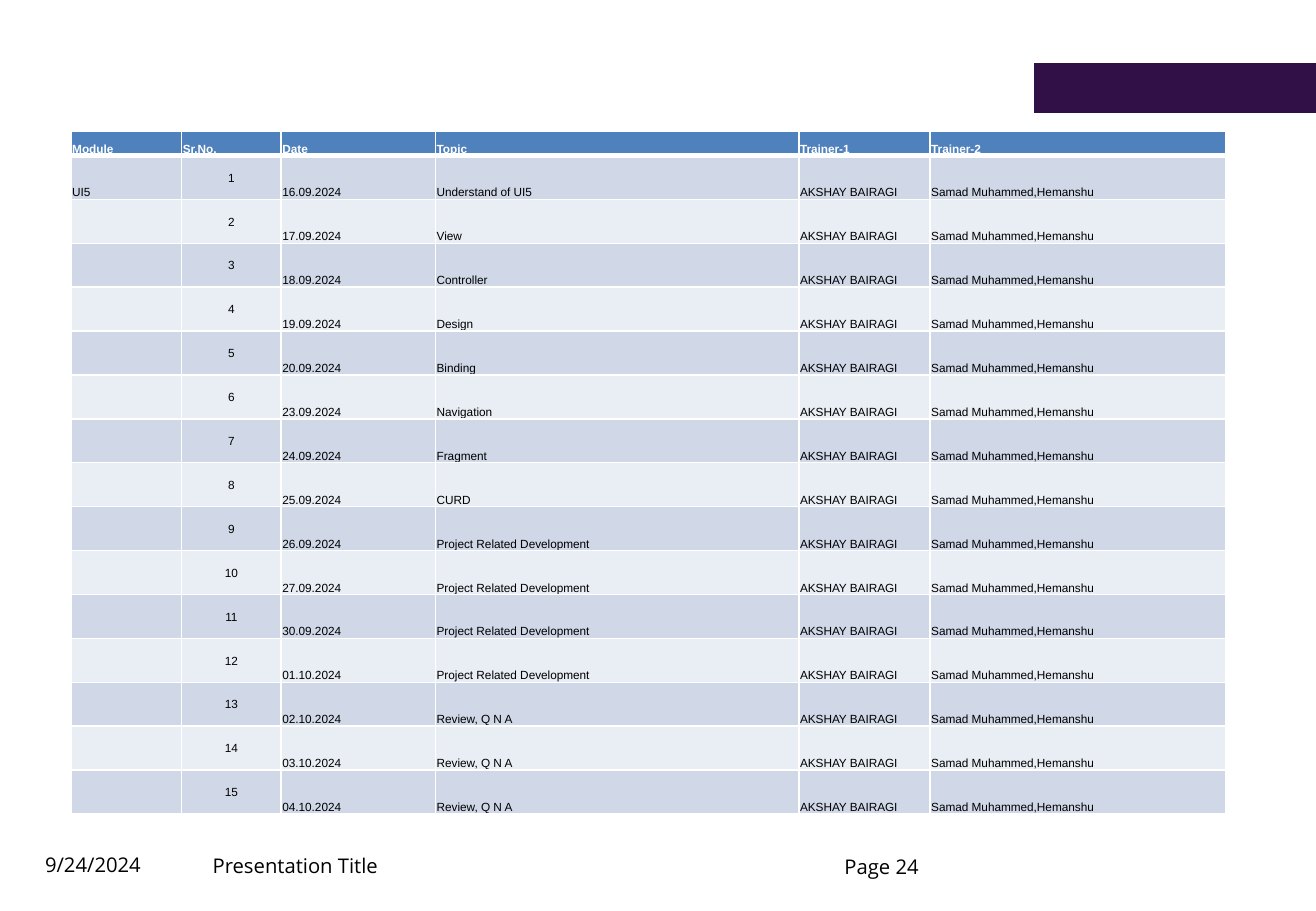
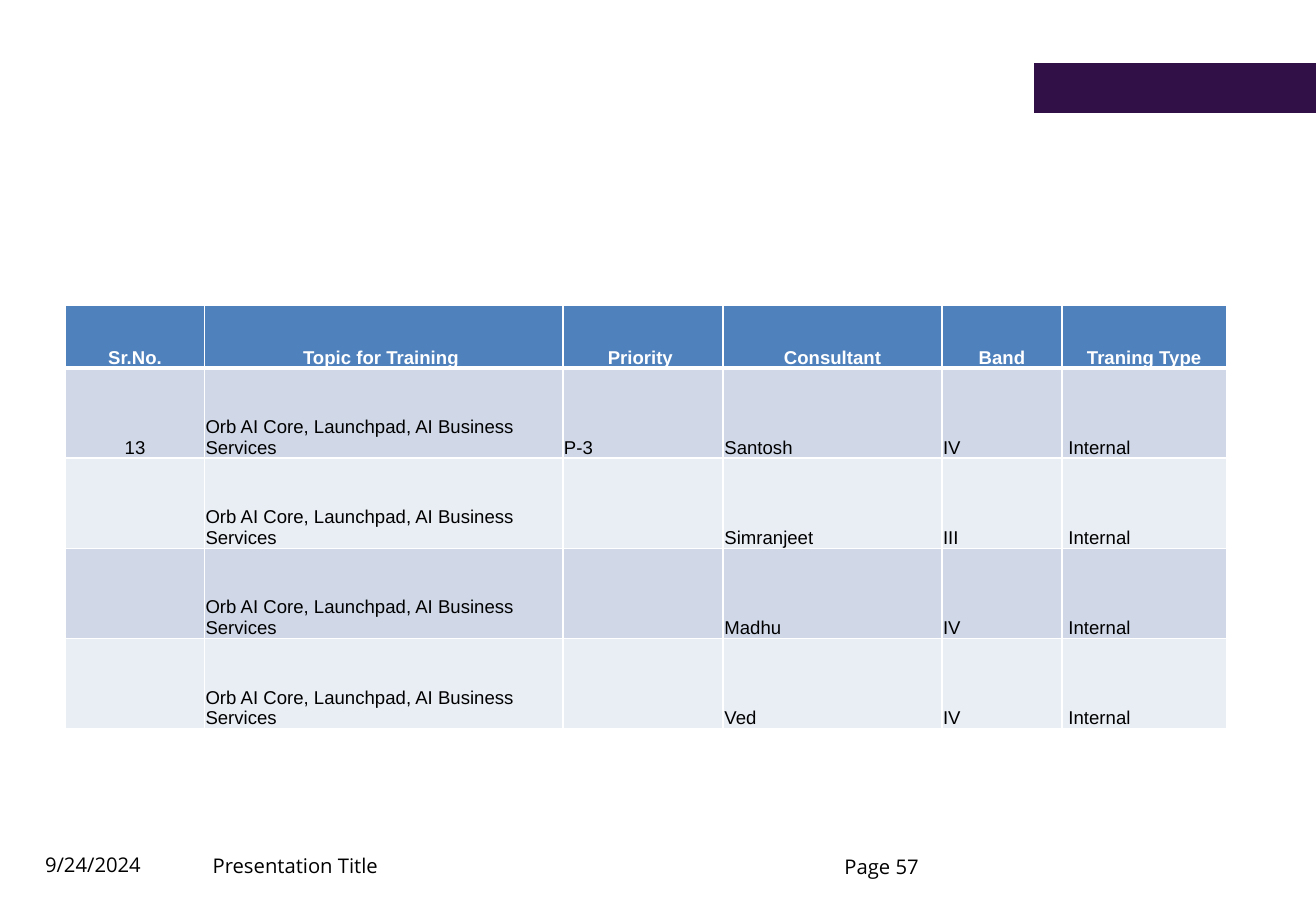
"""Build two training plan slides, each with a table, a corner band and a footer."""
from lxml.etree import SubElement
from pptx import Presentation
from pptx.dml.color import RGBColor
from pptx.enum.shapes import MSO_SHAPE
from pptx.enum.text import MSO_ANCHOR, PP_ALIGN
from pptx.oxml.ns import qn
from pptx.util import Inches, Pt

BLACK = RGBColor(0x00, 0x00, 0x00)
WHITE = RGBColor(0xFF, 0xFF, 0xFF)
PURPLE = RGBColor(0x30, 0x10, 0x47)
BLUE = RGBColor(0x4F, 0x81, 0xBD)
BANDS = [RGBColor(0xE9, 0xED, 0xF4), RGBColor(0xD0, 0xD8, 0xE8)]

prs = Presentation()
prs.slide_width, prs.slide_height = Inches(10.83), Inches(7.5)
COL, ROW = prs.slide_width / 100, prs.slide_height / 100


def place(x, y, w, h):
    return int(x * COL), int(y * ROW), int(w * COL), int(h * ROW)


def set_borders(cell, top, bottom):
    tcPr = cell._tc.get_or_add_tcPr()
    for side, width in (("L", 1), ("R", 1), ("T", top), ("B", bottom)):
        ln = SubElement(tcPr, qn("a:ln" + side), w=str(Pt(width)))
        SubElement(SubElement(ln, qn("a:solidFill")), qn("a:srgbClr"), val=str(WHITE))


dates = ["16.09.2024", "17.09.2024", "18.09.2024", "19.09.2024", "20.09.2024",
         "23.09.2024", "24.09.2024", "25.09.2024", "26.09.2024", "27.09.2024",
         "30.09.2024", "01.10.2024", "02.10.2024", "03.10.2024", "04.10.2024"]
topics = ["Understand of UI5", "View", "Controller", "Design", "Binding", "Navigation",
          "Fragment", "CURD"] + ["Project Related Development"] * 4 + ["Review, Q N A"] * 3
schedule = [["Module", "Sr.No.", "Date", "Topic", "Trainer-1", "Trainer-2"]]
for n, (date, topic) in enumerate(zip(dates, topics), 1):
    schedule.append(["UI5" if n == 1 else "", str(n), date, topic,
                     "AKSHAY BAIRAGI", "Samad Muhammed,Hemanshu"])

consultants = [("Santosh", "IV"), ("Simranjeet", "III"), ("Madhu", "IV"), ("Ved", "IV")]
plan = [["Sr.No.", "Topic for Training ", "Priority ", "Consultant", "Band", "Traning Type"]]
for n, (name, band) in enumerate(consultants):
    plan.append(["" if n else "13", "Orb AI Core, Launchpad, AI Business Services",
                 "" if n else "P-3", name, band, " Internal"])

slides = [
    dict(page="Page 24", rows=schedule, left=5.4, top=14.4, size=7,
         cols=[8.4, 7.57, 11.73, 27.61, 9.97, 22.44], head_h=2.67, body_h=4.82,
         number_col=1, number_anchor=MSO_ANCHOR.MIDDLE, head_align=PP_ALIGN.LEFT),
    dict(page="Page 57", rows=plan, left=5, top=33.47, size=11,
         cols=[10.53, 27.24, 12.19, 16.62, 9.14, 12.47], head_h=6.93, body_h=9.9,
         number_col=0, number_anchor=MSO_ANCHOR.BOTTOM, head_align=PP_ALIGN.CENTER),
]

for spec in slides:
    s = prs.slides.add_slide(prs.slide_layouts[6])
    footers = [("9/24/2024", (3.42, 92.13, 14.59, 4.13), MSO_ANCHOR.BOTTOM),
               (spec["page"], (64.17, 94.13, 12.83, 2.27), MSO_ANCHOR.TOP),
               ("Presentation Title", (16.16, 92.27, 18, 4.13), MSO_ANCHOR.BOTTOM)]
    for text, box, anchor in footers:
        tf = s.shapes.add_textbox(*place(*box)).text_frame
        tf.margin_left = tf.margin_top = tf.margin_right = tf.margin_bottom = 0
        tf.word_wrap, tf.vertical_anchor = True, anchor
        tf.text = text
        p = tf.paragraphs[0]
        p.line_spacing = 0.9
        font = p.runs[0].font
        font.name, font.size, font.color.rgb = "Open Sans", Pt(12), BLACK

    sp = s.shapes.add_shape(MSO_SHAPE.RECTANGLE, *place(78.58, 6.93, 21.42, 5.47))
    sp.shadow.inherit = False
    sp.fill.solid()
    sp.fill.fore_color.rgb = PURPLE
    sp.line.fill.background()

    rows, cols = spec["rows"], spec["cols"]
    heights = [spec["head_h"]] + [spec["body_h"]] * (len(rows) - 1)
    box = place(spec["left"], spec["top"], sum(cols), sum(heights))
    table = s.shapes.add_table(len(rows), len(cols), *box).table
    table.horz_banding = False
    for column, width in zip(table.columns, cols):
        column.width = int(width * COL)
    for i, (row, height) in enumerate(zip(rows, heights)):
        table.rows[i].height = int(height * ROW)
        head = i == 0
        for j, text in enumerate(row):
            cell = table.cell(i, j)
            numbered = not head and j == spec["number_col"]
            cell.margin_left = cell.margin_top = cell.margin_right = Inches(0.01)
            cell.margin_bottom = 0
            cell.vertical_anchor = spec["number_anchor"] if numbered else MSO_ANCHOR.BOTTOM
            set_borders(cell, 3 if i == 1 else 1, 3 if head else 1)
            cell.fill.solid()
            cell.fill.fore_color.rgb = BLUE if head else BANDS[i % 2]
            cell.text_frame.text = text
            p = cell.text_frame.paragraphs[0]
            if head:
                p.alignment = spec["head_align"]
            elif numbered:
                p.alignment = PP_ALIGN.CENTER
            for r in p.runs:
                r.font.name, r.font.size, r.font.bold = "Arial", Pt(spec["size"]), head
                r.font.color.rgb = WHITE if head else BLACK
            if not text:
                SubElement(p._p, qn("a:endParaRPr"), sz=str(spec["size"] * 100))

prs.save("out.pptx")
